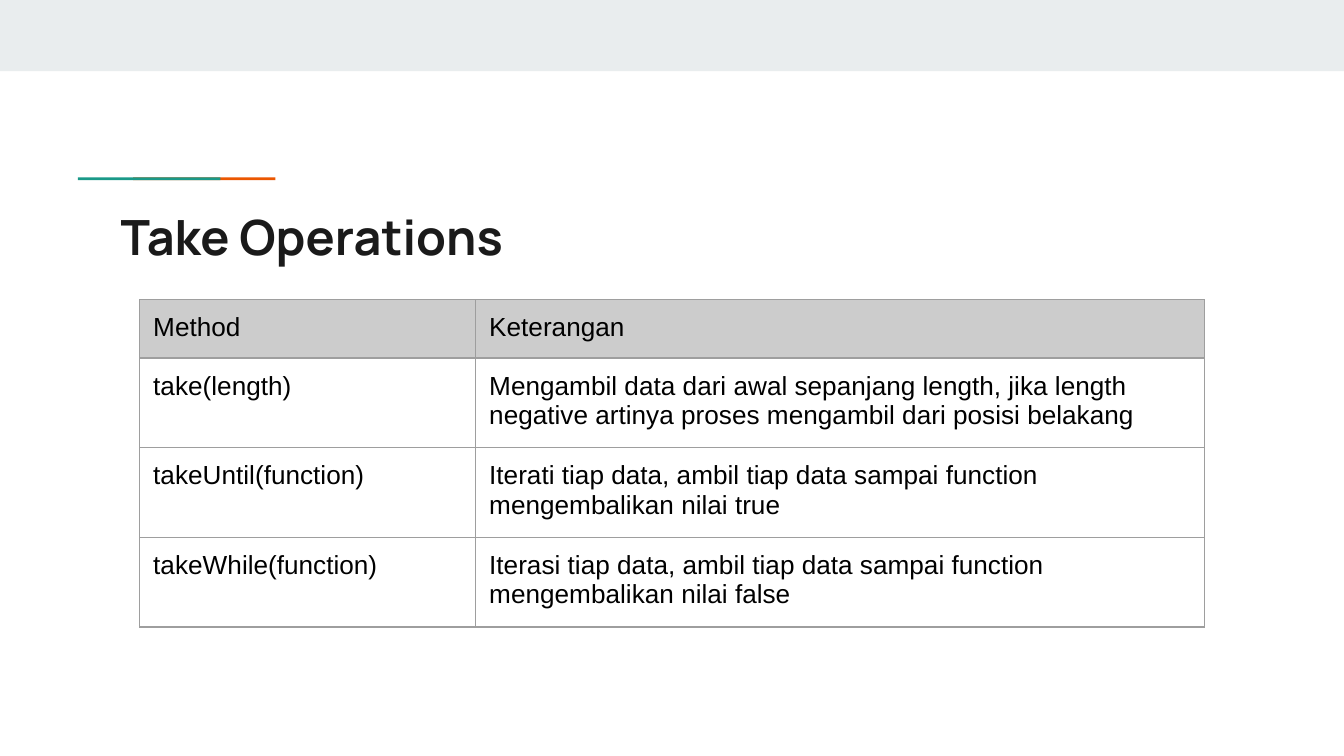
from lxml import etree
from pptx import Presentation
from pptx import util as u
from pptx.dml.color import RGBColor
from pptx.enum import shapes, text
from pptx.oxml.ns import qn

ROWS = [
    ("Method", "Keterangan"),
    ("take(length)", "Mengambil data dari awal sepanjang length, jika length "
     "negative artinya proses mengambil dari posisi belakang"),
    ("takeUntil(function)", "Iterati tiap data, ambil tiap data sampai function "
     "mengembalikan nilai true"),
    ("takeWhile(function)", "Iterasi tiap data, ambil tiap data sampai function "
     "mengembalikan nilai false"),
]
COL_WIDTHS = [2.5, 5.42]
ROW_HEIGHT = 0.42
FRAME_SIZE = 3.28


def rgb(color):
    return RGBColor.from_string(color)


def box(x, y, w, h):
    return [u.Inches(v) for v in (x, y, w, h)]


def add_bar(s, x, y, w, h, color):
    sp = s.shapes.add_shape(shapes.MSO_SHAPE.RECTANGLE, *box(x, y, w, h))
    sp.shadow.inherit = False
    sp.fill.solid()
    sp.fill.fore_color.rgb = rgb(color)
    sp.line.fill.background()


def add_run(p, content, size, font, color, bold=False):
    r = p.add_run()
    r.text = content
    r.font.size = u.Pt(size)
    r.font.name = font
    r.font.color.rgb = rgb(color)
    r.font.bold = bold


def set_margins(obj):
    for side in ("left", "top", "right", "bottom"):
        setattr(obj, f"margin_{side}", u.Inches(0.1))


def add_title(s, content):
    tf = s.shapes.add_textbox(*box(0.8, 1.44, 8.41, 0.59)).text_frame
    tf.word_wrap = True
    tf.vertical_anchor = text.MSO_ANCHOR.TOP
    set_margins(tf)
    add_run(tf.paragraphs[0], content, 26, "Manrope", "1A1A1A", True)


def set_borders(cell, color, width):
    tc_pr = cell._tc.get_or_add_tcPr()
    for i, tag in enumerate(("a:lnL", "a:lnR", "a:lnT", "a:lnB")):
        ln = etree.Element(qn(tag), w=str(u.Pt(width)))
        fill = etree.SubElement(ln, qn("a:solidFill"))
        etree.SubElement(fill, qn("a:srgbClr"), val=color)
        tc_pr.insert(i, ln)


def fill_cell(cell, content, is_header):
    set_margins(cell)
    if is_header:
        cell.fill.solid()
        cell.fill.fore_color.rgb = rgb("CCCCCC")
    else:
        cell.fill.background()
    set_borders(cell, "9E9E9E", 0.75)
    add_run(cell.text_frame.paragraphs[0], content, 14, "Arial", "000000")


def add_method_table(s):
    frame = s.shapes.add_table(len(ROWS), len(COL_WIDTHS), *box(
        1.04, 2.23, FRAME_SIZE, FRAME_SIZE))
    table = frame.table
    table.first_row = False
    table.horz_banding = False
    for col, width in zip(table.columns, COL_WIDTHS):
        col.width = u.Inches(width)
    for i, row in enumerate(table.rows):
        row.height = u.Inches(ROW_HEIGHT)
        for cell, content in zip(row.cells, ROWS[i]):
            fill_cell(cell, content, i == 0)
    frame.width = frame.height = u.Inches(FRAME_SIZE)


def main():
    prs = Presentation()
    prs.slide_width = u.Inches(10)
    prs.slide_height = prs.slide_width * 9 // 16
    s = prs.slides.add_slide(prs.slide_layouts[6])
    add_bar(s, 0, 0, 10, 0.53, "E9EDEE")
    add_bar(s, 0.99, 1.32, 1.06, 0.02, "EB5600")
    add_bar(s, 0.58, 1.32, 1.06, 0.02, "1A9988")
    add_title(s, "Take Operations")
    add_method_table(s)
    prs.save("out.pptx")


if __name__ == "__main__":
    main()
